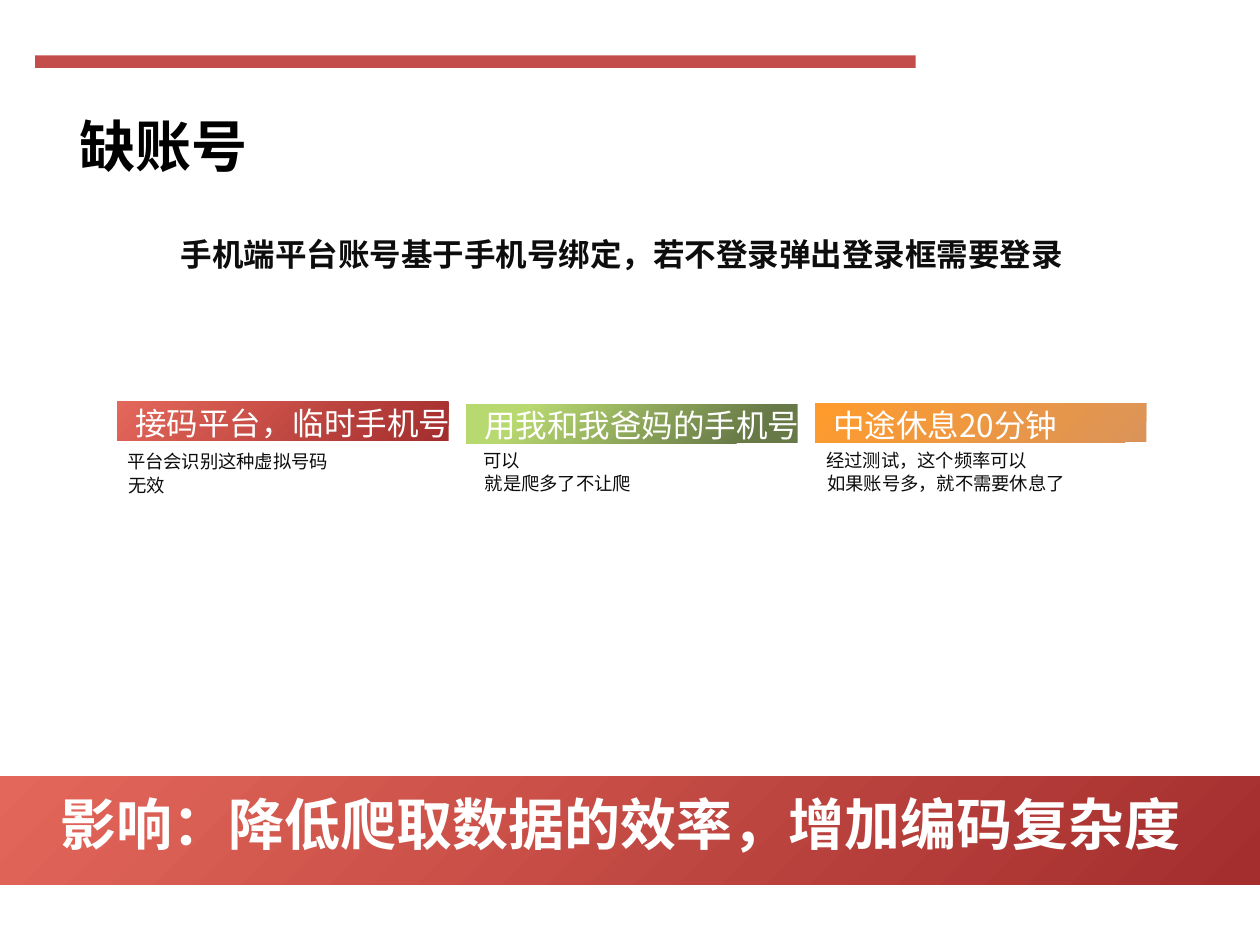
from pptx import Presentation
from pptx.dml.color import RGBColor
from pptx.enum import shapes, text
from pptx.oxml.ns import qn
from pptx.util import Pt

FONT = "Noto Sans CJK SC"
BLACK = RGBColor(0x00, 0x00, 0x00)
INK = RGBColor(0x0D, 0x0D, 0x0D)
WHITE = RGBColor(0xFF, 0xFF, 0xFF)
RULE = RGBColor(0xC2, 0x4D, 0x4A)
# Each gradient is a pair of stops: position and colour.
RED = ((0.01, RGBColor(0xA4, 0x2E, 0x2E)), (1, RGBColor(0xE3, 0x67, 0x5A)))
GREEN = ((0.15, RGBColor(0x67, 0x79, 0x47)), (0.83, RGBColor(0xB8, 0xD8, 0x70)))
ORANGE = ((0.01, RGBColor(0xDB, 0x94, 0x58)), (1, RGBColor(0xFF, 0x9B, 0x2D)))

# heading, heading width, gradient, bar top, label top, note shift, note top,
# note step, notes with widths
CARDS = [
    ("接码平台，临时手机号", 196.5, RED, 229.7, 227.5, -1.4, 253.4, 13.7,
     [("平台会识别这种虚拟号码", 131), ("无效", 36)]),
    ("用我和我爸妈的手机号", 203.8, GREEN, 231.1, 228.2, 2.9, 252.7, 13,
     [("可以", 36), ("就是爬多了不让爬", 99.4)]),
    ("中途休息20分钟", 165.6, ORANGE, 230.4, 228.2, -0.7, 252.7, 13,
     [("经过测试，这个频率可以", 133.2), ("如果账号多，就不需要休息了", 152.6)]),
]


def place(shape, x, y, w, h):
    shape.left, shape.top, shape.width, shape.height = map(Pt, (x, y, w, h))


def write(shape, words, size, color, bold=False):
    """Put one unwrapped line of text in the shape, centred by height."""
    frame = shape.text_frame
    frame.text = words
    frame.word_wrap = False
    frame.auto_size = text.MSO_AUTO_SIZE.NONE
    frame.vertical_anchor = text.MSO_ANCHOR.MIDDLE
    para = frame.paragraphs[0]
    para.alignment = text.PP_ALIGN.LEFT
    for run in para.runs:
        font = run.font
        font.name, font.size, font.bold = FONT, Pt(size), bold
        font.color.rgb = color
        east = font._element.makeelement(qn("a:ea"), {"typeface": FONT})
        font._element.find(qn("a:latin")).addnext(east)


def label(slide, box, words, size, color, bold=False):
    shape = slide.shapes.add_textbox(*map(Pt, box))
    write(shape, words, size, color, bold)


def bar(slide, box, stops=None):
    """Add a bar, diagonal gradient if stops are given, else plain."""
    shape = slide.shapes.add_shape(shapes.MSO_SHAPE.RECTANGLE, *map(Pt, box))
    shape.shadow.inherit = False
    shape.line.fill.background()
    if not stops:
        shape.fill.solid()
        shape.fill.fore_color.rgb = RULE
        return
    shape.fill.gradient()
    shape.fill.gradient_angle = 135
    for stop, (place_at, color) in zip(shape.fill.gradient_stops, stops):
        stop.position = place_at
        stop.color.rgb = color


def header(slide, x, y):
    bar(slide, (x, y, 503.3, 7.2))
    title = slide.shapes.title
    place(title, x + 18, y + 28.1, 111.6, 46)
    write(title, "缺账号", 32, BLACK, True)
    label(slide, (x + 76.3, y + 99.3, 523.4, 28.8),
          "手机端平台账号基于手机号绑定，若不登录弹出登录框需要登录", 18, INK, True)


def card(slide, x, head, wide, stops, top, head_top, shift, note_top, step, notes):
    bar(slide, (x, top, 189.4, 22.3), stops)
    label(slide, (x + 3.3, head_top, wide, 28.8), head, 18, WHITE)
    for i, (words, w) in enumerate(notes):
        label(slide, (x + shift + 0.7 * i, note_top + step * i, w, 20.2),
              words, 10.5, INK)


def banner(slide, x, y, w, h):
    bar(slide, (x, y, w, h), RED)
    label(slide, (x + 27.4, y + 3.6, 661, 46),
          "影响：降低爬取数据的效率，增加编码复杂度", 32, WHITE, True)


def main():
    deck = Presentation()
    deck.slide_width, deck.slide_height = Pt(720), Pt(540)
    slide = deck.slides.add_slide(deck.slide_layouts[5])
    header(slide, 20, 31.7)
    for i, parts in enumerate(CARDS):
        card(slide, 67 + 199.4 * i, *parts)
    banner(slide, 0, 443.5, 720, 62)
    deck.save("out.pptx")


if __name__ == "__main__":
    main()
